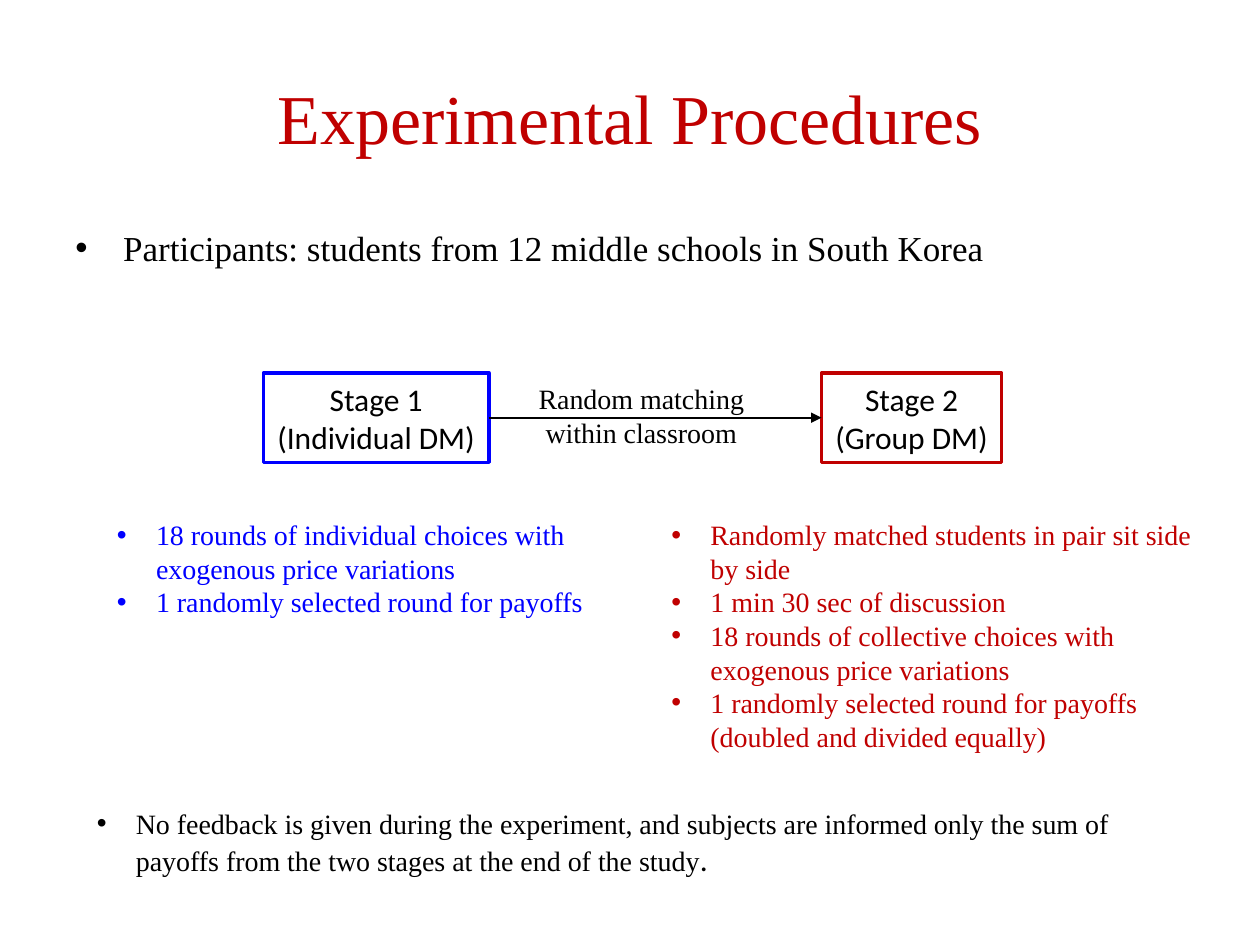
from lxml import etree
from pptx import Presentation
from pptx.dml.color import RGBColor
from pptx.enum.shapes import MSO_CONNECTOR, MSO_SHAPE
from pptx.enum.text import MSO_ANCHOR, PP_ALIGN
from pptx.oxml.ns import qn
from pptx.util import Inches, Pt

RECTANGLE = MSO_SHAPE.RECTANGLE
STRAIGHT = MSO_CONNECTOR.STRAIGHT
CENTER, LEFT = PP_ALIGN.CENTER, PP_ALIGN.LEFT
TOP, MIDDLE = MSO_ANCHOR.TOP, MSO_ANCHOR.MIDDLE

SERIF, SANS = "Times New Roman", "Calibri"
BLACK, WHITE, BLUE, RED = "000000", "FFFFFF", "0000FF", "C00000"
STAGE_TOP, STAGE_HEIGHT = 2.96, 0.71
DETAILS_TOP = 4.06


def color(hex_code):
    """Turn a hex string into a colour."""
    return RGBColor.from_string(hex_code)


def style_run(run, size, font, hex_code):
    """Set the size, typeface and colour of a run."""
    run.font.size = Pt(size)
    run.font.name = font
    run.font.color.rgb = color(hex_code)


def write_lines(frame, lines, size, font, hex_code, align):
    """Write one paragraph per line in a single style."""
    frame.text = "\n".join(lines)
    for paragraph in frame.paragraphs:
        paragraph.alignment = align
        for run in paragraph.runs:
            style_run(run, size, font, hex_code)


def add_text(slide, box, lines, size, hex_code, align=CENTER, anchor=TOP):
    """Add a wrapping serif text box and return its frame."""
    frame = slide.shapes.add_textbox(*map(Inches, box)).text_frame
    frame.word_wrap = True
    frame.vertical_anchor = anchor
    write_lines(frame, lines, size, SERIF, hex_code, align)
    return frame


def add_bullets(slide, box, lines, size, hex_code, indent=0.31):
    """Add a bulleted list with hanging indents and return its frame."""
    frame = add_text(slide, box, lines, size, hex_code, LEFT)
    for paragraph in frame.paragraphs:
        properties = paragraph._p.get_or_add_pPr()
        properties.set("marL", str(Inches(indent)))
        properties.set("indent", str(-Inches(indent)))
        etree.SubElement(properties, qn("a:buFont"), typeface="Arial")
        etree.SubElement(properties, qn("a:buChar"), char="•")
    return frame


def add_stage(slide, left, width, lines, outline):
    """Add an outlined box for one stage of the experiment."""
    box = (left, STAGE_TOP, width, STAGE_HEIGHT)
    stage = slide.shapes.add_shape(RECTANGLE, *map(Inches, box))
    stage.shadow.inherit = False
    stage.fill.solid()
    stage.fill.fore_color.rgb = color(WHITE)
    stage.line.color.rgb = color(outline)
    stage.line.width = Pt(2)
    stage.text_frame.word_wrap = False
    stage.text_frame.vertical_anchor = MIDDLE
    write_lines(stage.text_frame, lines, 18, SANS, BLACK, CENTER)
    return stage


def add_arrow(slide, source, target):
    """Join the right side of one stage to the left side of the next."""
    arrow = slide.shapes.add_connector(STRAIGHT, 0, 0, 0, 0)
    arrow.begin_connect(source, 3)
    arrow.end_connect(target, 1)
    arrow.line.color.rgb = color(BLACK)
    arrow.line.width = Pt(1)
    etree.SubElement(arrow.line._get_or_add_ln(), qn("a:tailEnd"), type="triangle")
    etree.SubElement(arrow._element.spPr, qn("a:effectLst"))


def main():
    """Build the slide on experimental procedures."""
    deck = Presentation()
    deck.slide_width, deck.slide_height = Inches(10), Inches(7.5)
    slide = deck.slides.add_slide(deck.slide_layouts[6])

    add_text(slide, (0.5, 0.3, 9, 1.25), ["Experimental Procedures"], 40, RED,
             anchor=MIDDLE)
    add_bullets(slide, (0.5, 1.75, 9, 0.5),
                ["Participants: students from 12 middle schools in South Korea"],
                20, BLACK, indent=0.38)

    individual = add_stage(slide, 2.09, 1.79, ["Stage 1", "(Individual DM)"], BLUE)
    group = add_stage(slide, 6.52, 1.43, ["Stage 2", "(Group DM)"], RED)
    add_arrow(slide, individual, group)
    add_text(slide, (3.95, 2.98, 2.28, 0.64),
             ["Random matching within classroom"], 16, BLACK)

    add_bullets(slide, (0.83, DETAILS_TOP, 4.02, 1.18), [
        "18 rounds of individual choices with exogenous price variations",
        "1 randomly selected round for payoffs",
    ], 16, BLUE)
    add_bullets(slide, (5.23, DETAILS_TOP, 4.42, 2.26), [
        "Randomly matched students in pair sit side by side",
        "1 min 30 sec of discussion",
        "18 rounds of collective choices with exogenous price variations",
        "1 randomly selected round for payoffs (doubled and divided equally)",
    ], 16, RED)

    feedback = add_bullets(slide, (0.67, 6.35, 8.5, 0.67), [
        "No feedback is given during the experiment, and subjects are informed "
        "only the sum of payoffs from the two stages at the end of the study",
    ], 16, BLACK)
    full_stop = feedback.paragraphs[0].add_run()
    full_stop.text = "."
    style_run(full_stop, 18, SANS, BLACK)

    deck.save("out.pptx")


if __name__ == "__main__":
    main()
